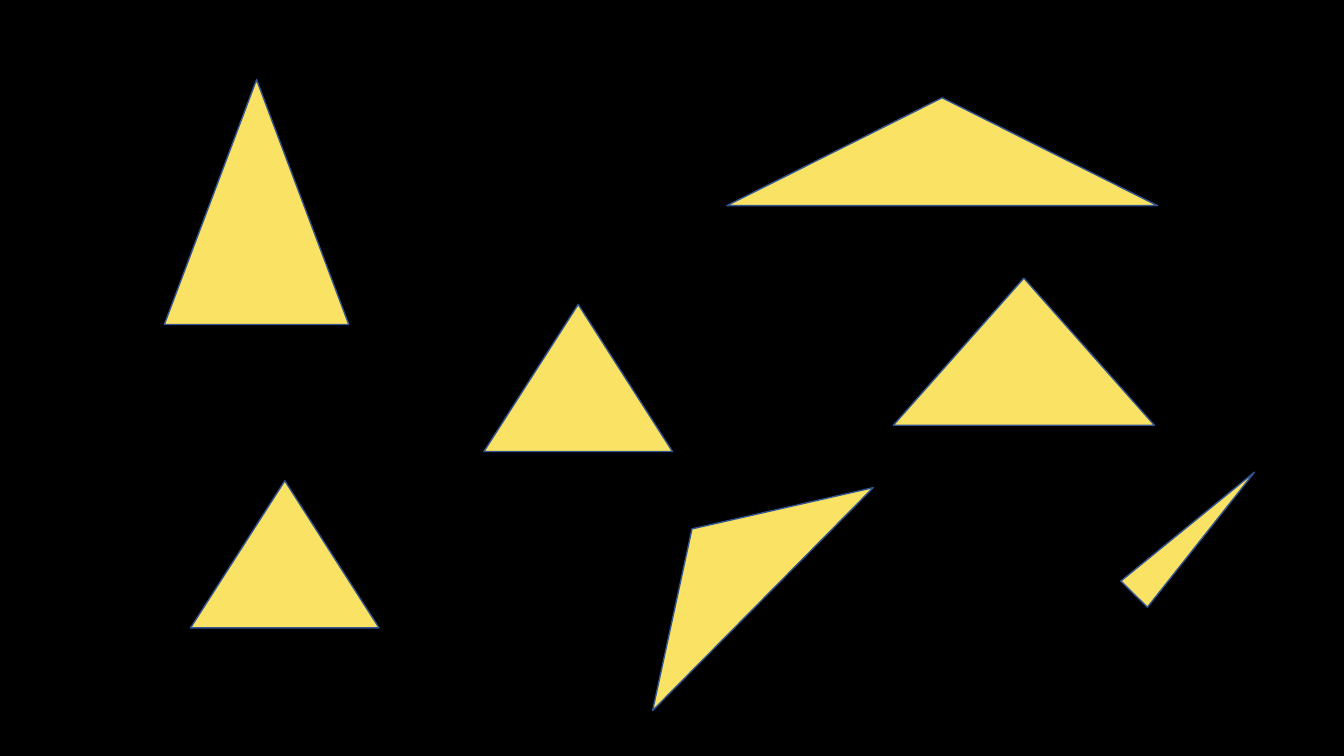
from pptx import Presentation
from pptx.dml.color import RGBColor
from pptx.enum import shapes as sh
from pptx.util import Inches, Pt

BLACK = RGBColor(0x00, 0x00, 0x00)
YELLOW = RGBColor(0xF9, 0xE2, 0x64)
BLUE = RGBColor(0x32, 0x54, 0x91)

# Left, top, width, height, rotation
TRIANGLES = [
    (1.63, 0.79, 1.83, 2.43, 0),
    (7.21, 0.97, 4.27, 1.07, 0),
    (4.8, 3.02, 1.87, 1.46, 0),
    (1.89, 4.77, 1.87, 1.46, 0),
    (11.66, 4.44, 0.37, 1.7, 44.6),
    (8.86, 2.76, 2.59, 1.46, 0),
    (5.66, 5.1, 3.11, 0.99, 314.7),
]


def add_triangle(slide, left, top, width, height, turn):
    tri = slide.shapes.add_shape(
        sh.MSO_SHAPE.ISOSCELES_TRIANGLE,
        Inches(left), Inches(top), Inches(width), Inches(height))
    tri.rotation = turn
    tri.shadow.inherit = False
    tri.fill.solid()
    tri.fill.fore_color.rgb = YELLOW
    tri.line.color.rgb = BLUE
    tri.line.width = Pt(1)


def main():
    prs = Presentation()
    prs.slide_width = Inches(13.33)
    prs.slide_height = Inches(7.5)

    # Blank slide on black
    slide = prs.slides.add_slide(prs.slide_layouts[6])
    fill = slide.background.fill
    fill.solid()
    fill.fore_color.rgb = BLACK

    # Scattered triangles
    for box in TRIANGLES:
        add_triangle(slide, *box)

    prs.save("out.pptx")


if __name__ == "__main__":
    main()
